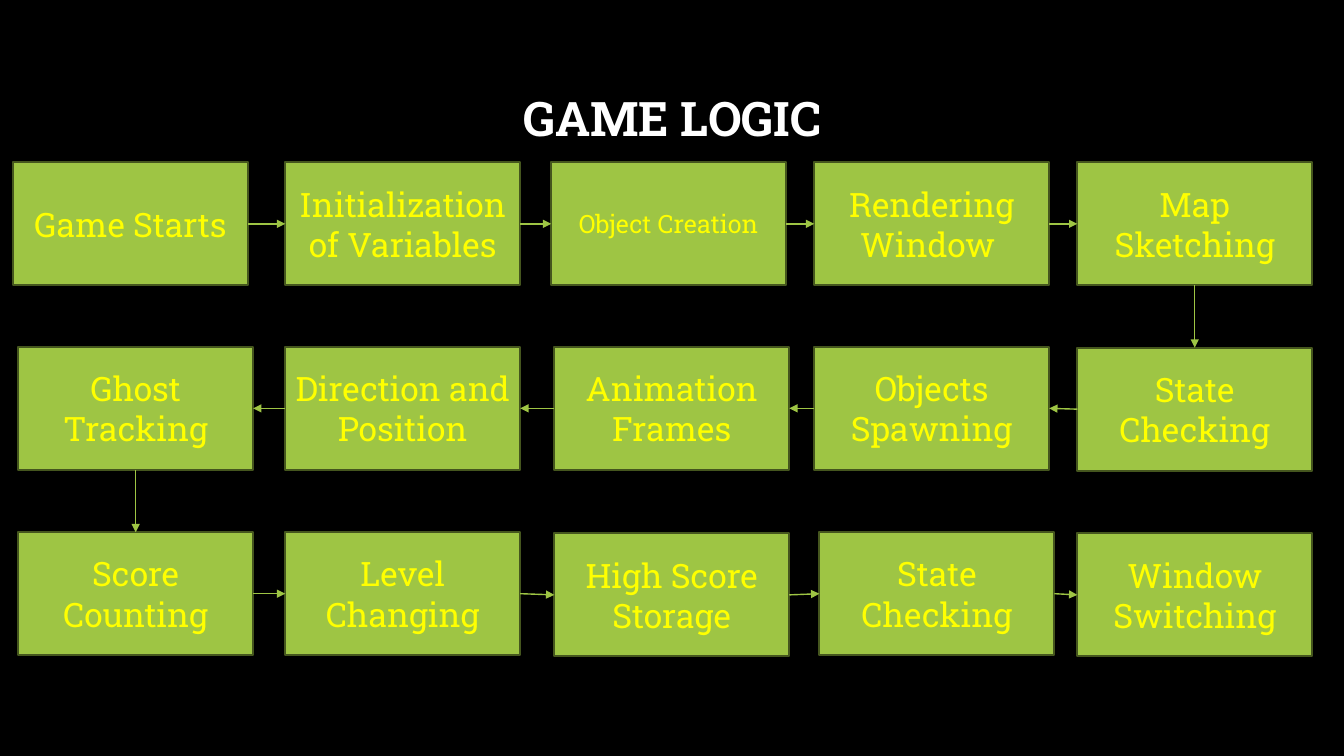
from itertools import pairwise

from lxml import etree
from pptx import Presentation
from pptx.dml.color import RGBColor
from pptx.enum.shapes import MSO_CONNECTOR, MSO_SHAPE
from pptx.enum.text import MSO_ANCHOR, PP_ALIGN
from pptx.oxml.ns import qn
from pptx.util import Cm, Pt

COLORS = {
    "background": "000000",
    "title": "FFFFFF",
    "step": "9EC544",
    "border": "45561E",
    "label": "FFFF00",
}
TOP, LEFT, BOTTOM, RIGHT = range(4)
STEP_WIDTH, STEP_HEIGHT = 5.92, 3.1

# Steps in flow order: left, top (cm), label; the middle row runs right to left
STEP_ROWS = [
    [
        (0.33, 4.09, "Game Starts"),
        (7.19, 4.09, "Initialization of Variables"),
        (13.89, 4.09, "Object Creation"),
        (20.52, 4.09, "Rendering Window "),
        (27.15, 4.09, "Map Sketching"),
    ],
    [
        (27.15, 8.76, "State Checking"),
        (20.52, 8.74, "Objects Spawning"),
        (13.97, 8.74, "Animation Frames"),
        (7.19, 8.74, "Direction and Position"),
        (0.46, 8.74, "Ghost Tracking"),
    ],
    [
        (0.46, 13.41, "Score Counting"),
        (7.19, 13.41, "Level Changing"),
        (13.97, 13.44, "High Score Storage"),
        (20.65, 13.41, "State Checking"),
        (27.15, 13.44, "Window Switching"),
    ],
]
SMALL_LABELS = {"Object Creation": 18}


class FlowSlide:
    """Holds the style and the current slide."""

    font = "Roboto Slab"

    def __init__(self, deck):
        self.page = deck.slides.add_slide(deck.slide_layouts[6])
        self.paint(self.page.background.fill, "background")

    def color(self, name):
        return RGBColor.from_string(COLORS[name])

    def paint(self, fill, name):
        fill.solid()
        fill.fore_color.rgb = self.color(name)

    def set_text(self, box, text, size, color, bold=False):
        frame = box.text_frame
        frame.word_wrap = True
        frame.vertical_anchor = MSO_ANCHOR.MIDDLE
        para = frame.paragraphs[0]
        para.text = text
        para.alignment = PP_ALIGN.CENTER
        para.font.name = self.font
        para.font.size = Pt(size)
        para.font.bold = bold
        para.font.color.rgb = self.color(color)
        return para

    def title(self, text):
        box = self.page.shapes.add_textbox(Cm(2.57), Cm(1.22), Cm(28.75), Cm(3.68))
        self.set_text(box, text, 34, "title", bold=True).line_spacing = 0.9

    def step(self, left, top, label):
        box = self.page.shapes.add_shape(
            MSO_SHAPE.RECTANGLE, Cm(left), Cm(top), Cm(STEP_WIDTH), Cm(STEP_HEIGHT)
        )
        box.shadow.inherit = False
        self.paint(box.fill, "step")
        box.line.color.rgb = self.color("border")
        box.line.width = Pt(1.5)
        self.set_text(box, label, SMALL_LABELS.get(label, 24), "label")
        return box

    def arrow(self, source, source_side, target, target_side):
        arrow = self.page.shapes.add_connector(MSO_CONNECTOR.STRAIGHT, 0, 0, 0, 0)
        arrow.begin_connect(source, source_side)
        arrow.end_connect(target, target_side)
        arrow.line.color.rgb = self.color("step")
        arrow.line.width = Pt(1)
        properties = arrow.element.spPr
        etree.SubElement(properties.find(qn("a:ln")), qn("a:tailEnd"), type="triangle")
        etree.SubElement(properties, qn("a:effectLst"))


def main():
    deck = Presentation()
    deck.slide_width, deck.slide_height = Cm(33.87), Cm(19.05)
    slide = FlowSlide(deck)
    slide.title("GAME LOGIC")

    # Step boxes
    rows = [[slide.step(*step) for step in row] for row in STEP_ROWS]

    # Arrows along each row
    for row in rows:
        sides = (RIGHT, LEFT) if row[0].left < row[-1].left else (LEFT, RIGHT)
        for source, target in pairwise(row):
            slide.arrow(source, sides[0], target, sides[1])

    # Arrows down to the next row
    for upper, lower in pairwise(rows):
        slide.arrow(upper[-1], BOTTOM, lower[0], TOP)

    deck.save("out.pptx")


if __name__ == "__main__":
    main()
